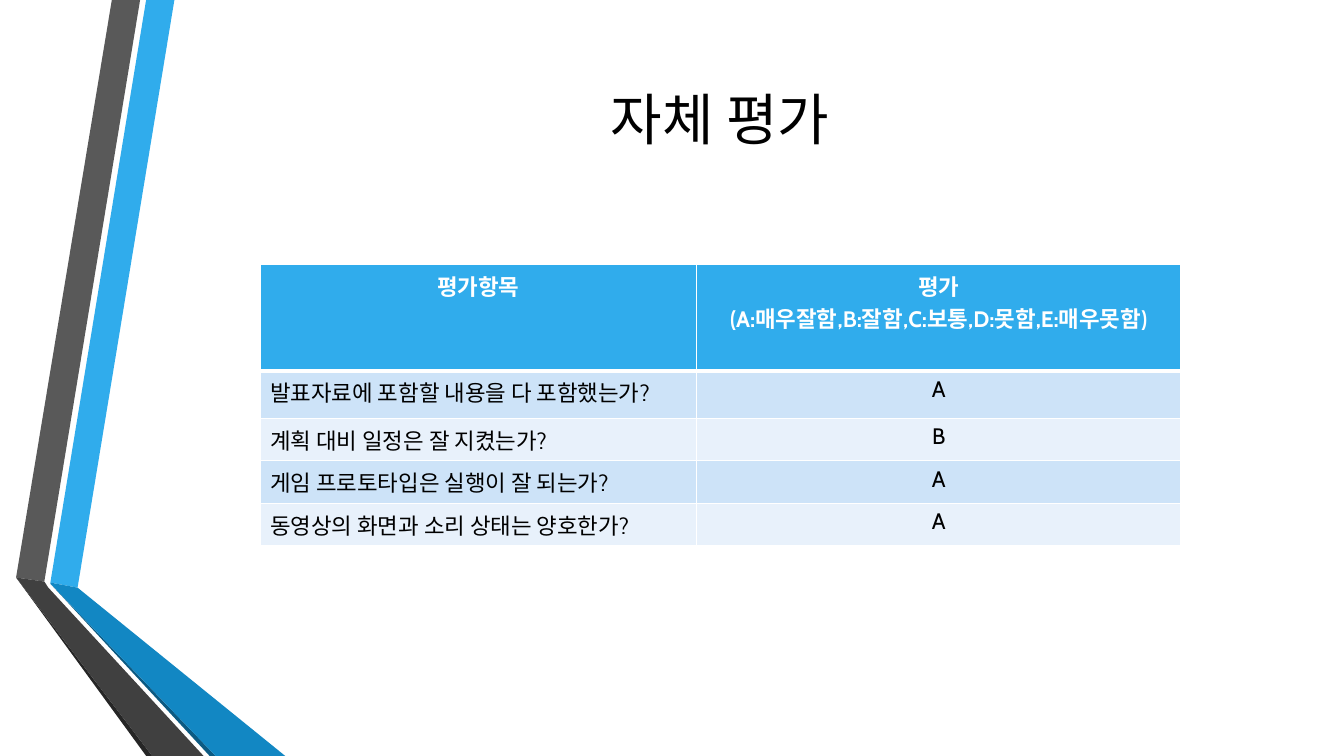
"""Build the self-evaluation slide with a ribbon motif, a title and a table."""
from dataclasses import dataclass

from lxml.etree import SubElement
from pptx import Presentation
from pptx.dml.color import RGBColor
from pptx.enum.text import MSO_ANCHOR, MSO_AUTO_SIZE, PP_ALIGN
from pptx.oxml.ns import qn
from pptx.util import Inches, Pt

COLORS = {
    "sky": "30ACEC", "blue": "1287C3", "navy": "0C5A82",
    "gray": "595959", "charcoal": "404040", "soot": "262626",
    "band": "CDE3F8", "pale": "E8F1FB", "white": "FFFFFF", "black": "000000",
}
FONT = "Cabin"


@dataclass(frozen=True)
class Ribbon:
    color: str
    points: tuple


@dataclass(frozen=True)
class Style:
    size: int
    color: str
    bold: bool = False


@dataclass(frozen=True)
class Row:
    height: float
    texts: tuple
    alignments: tuple
    style: Style
    fill: str


TITLE = Style(40, "black")
HEADER = Style(16, "white", True)
BODY = Style(16, "black")

RIBBONS = (
    Ribbon("sky", ((0.5, 5.78), (0.77, 5.83), (1.73, 0), (1.45, 0))),
    Ribbon("gray", ((1.39, 0), (1.11, 0), (0.16, 5.73), (0.44, 5.77))),
    Ribbon("soot", ((0.16, 5.73), (1.45, 7.5), (1.51, 7.5))),
    Ribbon("navy", ((0.5, 5.79), (2.08, 7.5), (2.14, 7.5))),
    Ribbon("blue", ((0.5, 5.78), (0.5, 5.79), (2.14, 7.5), (2.83, 7.5), (0.77, 5.83))),
    Ribbon("charcoal", ((0.16, 5.73), (1.51, 7.5), (2.02, 7.5), (0.48, 5.83), (0.44, 5.77))),
)

COLUMN_WIDTHS = (4.33, 4.8)
HEADINGS = ("평가항목", "평가\n(A:매우잘함,B:잘함,C:보통,D:못함,E:매우못함)")
EVALUATIONS = (
    (0.47, "발표자료에 포함할 내용을 다 포함했는가?", "A"),
    (0.41, "계획 대비 일정은 잘 지켰는가?", "B"),
    (0.41, "게임 프로토타입은 실행이 잘 되는가?", "A"),
    (0.41, "동영상의 화면과 소리 상태는 양호한가?", "A"),
)


def set_attributes(target, values: dict) -> None:
    """Set every named value on the target."""
    for name, value in values.items():
        setattr(target, name, value)


def rgb(name: str) -> RGBColor:
    """Return a named colour."""
    return RGBColor.from_string(COLORS[name])


def write_text(frame, text: str, style: Style, alignment) -> None:
    """Write one styled paragraph for each line of text."""
    frame.text = text
    for para in frame.paragraphs:
        para.alignment = alignment
        for span in para.runs:
            set_attributes(span.font, {"name": FONT, "size": Pt(style.size), "bold": style.bold})
            span.font.color.rgb = rgb(style.color)


def draw_ribbon(page, ribbon: Ribbon) -> None:
    """Draw one filled ribbon outline."""
    start, *rest = [(Inches(x), Inches(y)) for x, y in ribbon.points]
    builder = page.shapes.build_freeform(*start)
    builder.add_line_segments(rest, close=True)
    shape = builder.convert_to_shape()
    shape.shadow.inherit = False
    shape.fill.solid()
    shape.fill.fore_color.rgb = rgb(ribbon.color)
    shape.line.fill.background()


def draw_title(page, text: str) -> None:
    """Place and format the title above the ribbons."""
    title = page.shapes.title
    set_attributes(title, {"left": Inches(1.66), "top": Inches(0.21),
                           "width": Inches(10.96), "height": Inches(1.92)})
    write_text(title.text_frame, text, TITLE, PP_ALIGN.CENTER)
    set_attributes(title.text_frame, {"vertical_anchor": MSO_ANCHOR.MIDDLE,
                                      "word_wrap": True, "auto_size": MSO_AUTO_SIZE.NONE})
    page.shapes._spTree.append(title._element)


def set_borders(cell, widths: dict) -> None:
    """Give a cell white borders, in points by side."""
    properties = cell._tc.get_or_add_tcPr()
    for side, width in widths.items():
        line = SubElement(properties, qn(f"a:ln{side}"), w=str(Pt(width)))
        fill = SubElement(line, qn("a:solidFill"))
        SubElement(fill, qn("a:srgbClr"), val=COLORS["white"])


def table_rows() -> list[Row]:
    """Return the header row followed by the banded evaluation rows."""
    rows = [Row(0.41, HEADINGS, (PP_ALIGN.CENTER, PP_ALIGN.CENTER), HEADER, "sky")]
    for index, (height, question, grade) in enumerate(EVALUATIONS):
        fill = ("band", "pale")[index % 2]
        rows.append(Row(height, (question, grade), (PP_ALIGN.LEFT, PP_ALIGN.CENTER), BODY, fill))
    return rows


def draw_table(page, rows: list[Row]) -> None:
    """Draw the evaluation table."""
    frame = page.shapes.add_table(
        len(rows), len(COLUMN_WIDTHS), Inches(2.58), Inches(2.62),
        Inches(sum(COLUMN_WIDTHS)), Inches(sum(row.height for row in rows)))
    table = frame.table
    for column, width in zip(table.columns, COLUMN_WIDTHS):
        column.width = Inches(width)
    for index, row in enumerate(rows):
        table.rows[index].height = Inches(row.height)
        borders = {"L": 1, "R": 1, "T": 3 if index == 1 else 1, "B": 3 if index == 0 else 1}
        for cell, text, alignment in zip(table.rows[index].cells, row.texts, row.alignments):
            set_borders(cell, borders)
            cell.fill.solid()
            cell.fill.fore_color.rgb = rgb(row.fill)
            write_text(cell.text_frame, text, row.style, alignment)


def main() -> None:
    """Build and save the deck."""
    deck = Presentation()
    set_attributes(deck, {"slide_width": Inches(13.33), "slide_height": Inches(7.5)})
    page = deck.slides.add_slide(deck.slide_layouts[5])
    for ribbon in RIBBONS:
        draw_ribbon(page, ribbon)
    draw_title(page, "자체 평가")
    draw_table(page, table_rows())
    deck.save("out.pptx")


if __name__ == "__main__":
    main()
